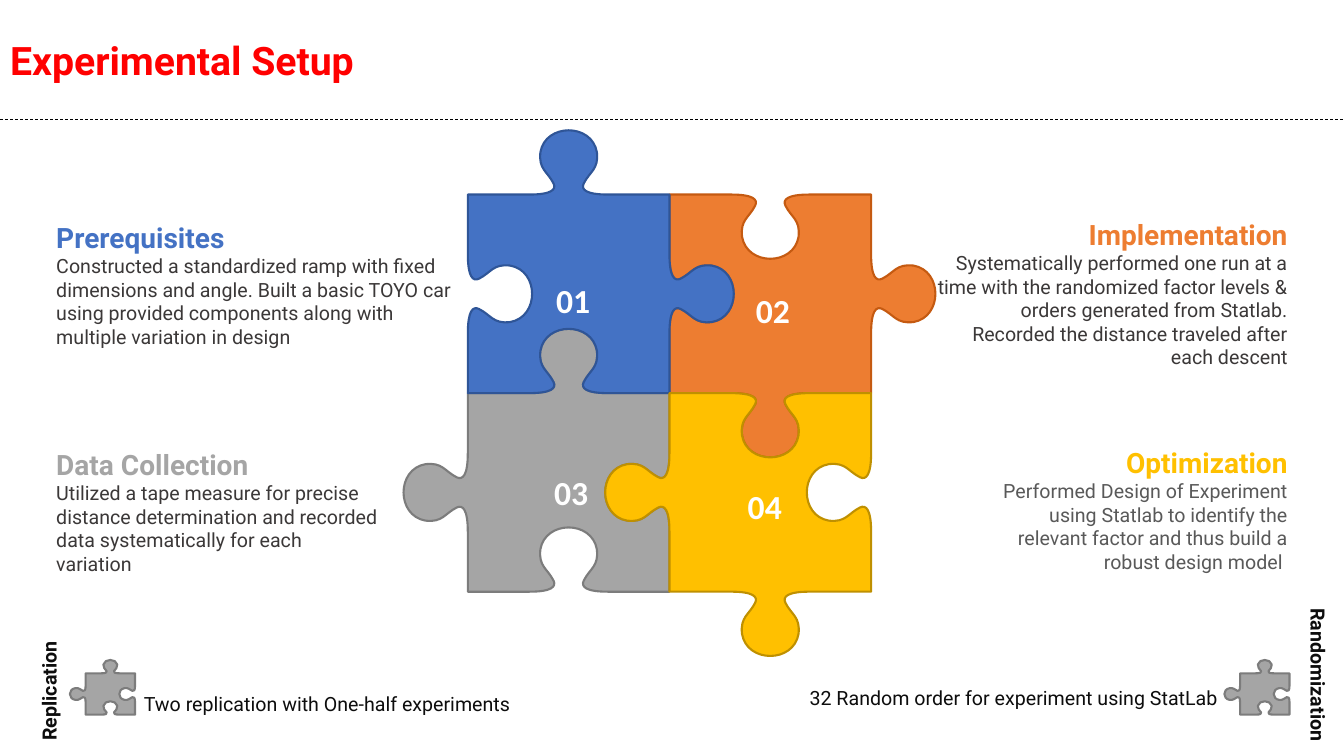
from lxml.etree import SubElement
from pptx import Presentation
from pptx.dml.color import RGBColor
from pptx.enum.dml import MSO_LINE
from pptx.enum.shapes import MSO_CONNECTOR
from pptx.enum.text import MSO_ANCHOR, MSO_AUTO_SIZE, PP_ALIGN
from pptx.oxml.ns import qn
from pptx.util import Pt

SCALE = 9144
CELL_W, CELL_H = 200, 197
LEFT, TOP = 464, 193

COLORS = {
    "red": "FF0000", "black": "000000", "ink": "0D0D0D", "white": "FFFFFF",
    "dark": "3B3838", "mid": "595959",
    "blue": "4472C4", "blue_line": "2F5597",
    "orange": "ED7D31", "orange_line": "C55A11",
    "gray": "A5A5A5", "gray_line": "7C7C7C",
    "gold": "FFC000", "gold_line": "BF9000",
}

TAB = [
    (-39, 0),
    (-17, 0), (-12, 5), (-15, 11),
    (-21, 23), (-30, 25), (-28, 42),
    (-23, 71), (23, 71), (28, 42),
    (30, 25), (21, 23), (15, 11),
    (12, 5), (17, 0), (39, 0),
]
NORMALS = [(0, -1), (1, 0), (0, 1), (-1, 0)]
GRAY_TABS = (1, -1, -1, 1)


def px(value):
    return round(value * SCALE)


def color(name):
    return RGBColor.from_string(COLORS[name])


def curve_tabs(piece):
    route = piece._element.spPr.find(".//" + qn("a:path"))
    knots = list(route)
    side = len(TAB) + 1
    for corner in range(0, side * len(NORMALS), side):
        for first in range(corner + 2, corner + side, 3):
            trio = knots[first:first + 3]
            bend = route.makeelement(qn("a:cubicBezTo"))
            trio[0].addprevious(bend)
            for knot in trio:
                bend.append(knot[0])
                route.remove(knot)


def add_piece(slide, left, top, width, height, tabs, fill):
    half_w, half_h = CELL_W / 2, CELL_H / 2
    outline = []
    for (nx, ny), out in zip(NORMALS, tabs):
        ux, uy = -ny, nx
        outline.append(((nx - ux) * half_w, (ny - uy) * half_h))
        for along, depth in TAB:
            outline.append((nx * (half_w + out * depth) + ux * along,
                            ny * (half_h + out * depth) + uy * along))
    points = [(px(left + (x + half_w) * width / CELL_W),
               px(top + (y + half_h) * height / CELL_H)) for x, y in outline]
    form = slide.shapes.build_freeform(*points[0])
    form.add_line_segments(points[1:], close=True)
    piece = form.convert_to_shape()
    curve_tabs(piece)
    piece.shadow.inherit = False
    piece.fill.solid()
    piece.fill.fore_color.rgb = color(fill)
    piece.line.color.rgb = color(fill + "_line")
    piece.line.width = Pt(1.5)


def place(shape, box):
    shape.left, shape.top, shape.width, shape.height = map(px, box)


def add_run(para, text, size, tint, bold=False, font="Roboto"):
    run = para.add_run()
    run.text = text
    run.font.name = font
    run.font.size = Pt(size)
    run.font.bold = bold
    run.font.color.rgb = color(tint)


def add_box(slide, box, anchor=MSO_ANCHOR.TOP, wrap=True, inset=True):
    shape = slide.shapes.add_textbox(*map(px, box))
    frame = shape.text_frame
    frame.word_wrap = wrap
    frame.auto_size = MSO_AUTO_SIZE.SHAPE_TO_FIT_TEXT
    frame.vertical_anchor = anchor
    if not inset:
        frame.margin_left = frame.margin_right = 0
        frame.margin_top = frame.margin_bottom = 0
    return shape


def add_title(slide, text):
    title = slide.shapes.title
    place(title, (0, 31, 1246, 57))
    frame = title.text_frame
    frame.vertical_anchor = MSO_ANCHOR.TOP
    frame.auto_size = MSO_AUTO_SIZE.SHAPE_TO_FIT_TEXT
    para = frame.paragraphs[0]
    para.alignment = PP_ALIGN.LEFT
    add_run(para, text, 28, "red", True)


def add_rule(slide):
    rule = slide.shapes.add_connector(
        MSO_CONNECTOR.STRAIGHT, 0, px(118), px(1333), px(118))
    rule.line.color.rgb = color("black")
    rule.line.width = Pt(0.5)
    rule.line.dash_style = MSO_LINE.DASH
    SubElement(rule._element.spPr, qn("a:effectLst"))


def add_number(slide, left, top, text):
    box = add_box(slide, (left, top, 55, 58), MSO_ANCHOR.BOTTOM, False, False)
    para = box.text_frame.paragraphs[0]
    para.alignment = PP_ALIGN.CENTER
    para.space_before = Pt(5)
    add_run(para, text, 24, "white", True, "Calibri")


def add_topic(slide, box, head, body, tint, ink, align):
    frame = add_box(slide, box).text_frame
    first, second = frame.paragraphs[0], frame.add_paragraph()
    first.alignment = second.alignment = align
    add_run(first, head, 20, tint, True)
    add_run(second, body, 14, ink)


def add_label(slide, box, text, bold=False, turn=0):
    shape = add_box(slide, box, MSO_ANCHOR.MIDDLE, inset=False)
    shape.rotation = turn
    para = shape.text_frame.paragraphs[0]
    para.alignment = PP_ALIGN.CENTER
    para.line_spacing = 1.5
    para.space_before = Pt(3)
    add_run(para, text, 14, "ink", bold)


def main():
    deck = Presentation()
    deck.slide_width, deck.slide_height = px(1333), px(750)
    slide = deck.slides.add_slide(deck.slide_layouts[5])
    add_rule(slide)
    add_title(slide, "Experimental Setup")

    for col, row, tabs, fill in [
        (0, 1, GRAY_TABS, "gray"),
        (1, 0, (-1, 1, 1, -1), "orange"),
        (0, 0, (1, 1, -1, -1), "blue"),
        (1, 1, (-1, -1, 1, 1), "gold"),
    ]:
        add_piece(slide, LEFT + col * CELL_W, TOP + row * CELL_H,
                  CELL_W, CELL_H, tabs, fill)

    for left, top, text in [(541, 260, "01"), (739, 270, "02"),
                            (539, 450, "03"), (731, 464, "04")]:
        add_number(slide, left, top, text)

    for box, head, body, tint, ink, align in [
        ((46, 214, 423, 138), "Prerequisites",
         "Constructed a standardized ramp with fixed dimensions and angle. "
         "Built a basic TOYO car using provided components along with "
         "multiple variation in design", "blue", "dark", PP_ALIGN.LEFT),
        ((917, 211, 370, 162), "Implementation",
         "Systematically performed one run at a time with the randomized "
         "factor levels & orders generated from Statlab. Recorded the "
         "distance traveled after each descent",
         "orange", "dark", PP_ALIGN.RIGHT),
        ((46, 439, 343, 114), "Data Collection",
         "Utilized a tape measure for precise distance determination and "
         "recorded data systematically for each variation",
         "gray", "dark", PP_ALIGN.LEFT),
        ((976, 437, 311, 138), "Optimization",
         "Performed Design of Experiment using Statlab to identify the "
         "relevant factor and thus build a robust design model ",
         "gold", "mid", PP_ALIGN.RIGHT),
    ]:
        add_topic(slide, box, head, body, tint, ink, align)

    for left in (85, 1230):
        add_piece(slide, left, 668, 49, 41, GRAY_TABS, "gray")

    add_label(slide, (125, 676, 399, 32), "Two replication with One-half experiments")
    add_label(slide, (793, 670, 425, 32), "32 Random order for experiment using StatLab")
    add_label(slide, (-51, 670, 187, 31), "Replication", True, 270)
    add_label(slide, (1220, 654, 187, 31), "Randomization", True, 90)
    deck.save("out.pptx")


if __name__ == "__main__":
    main()
